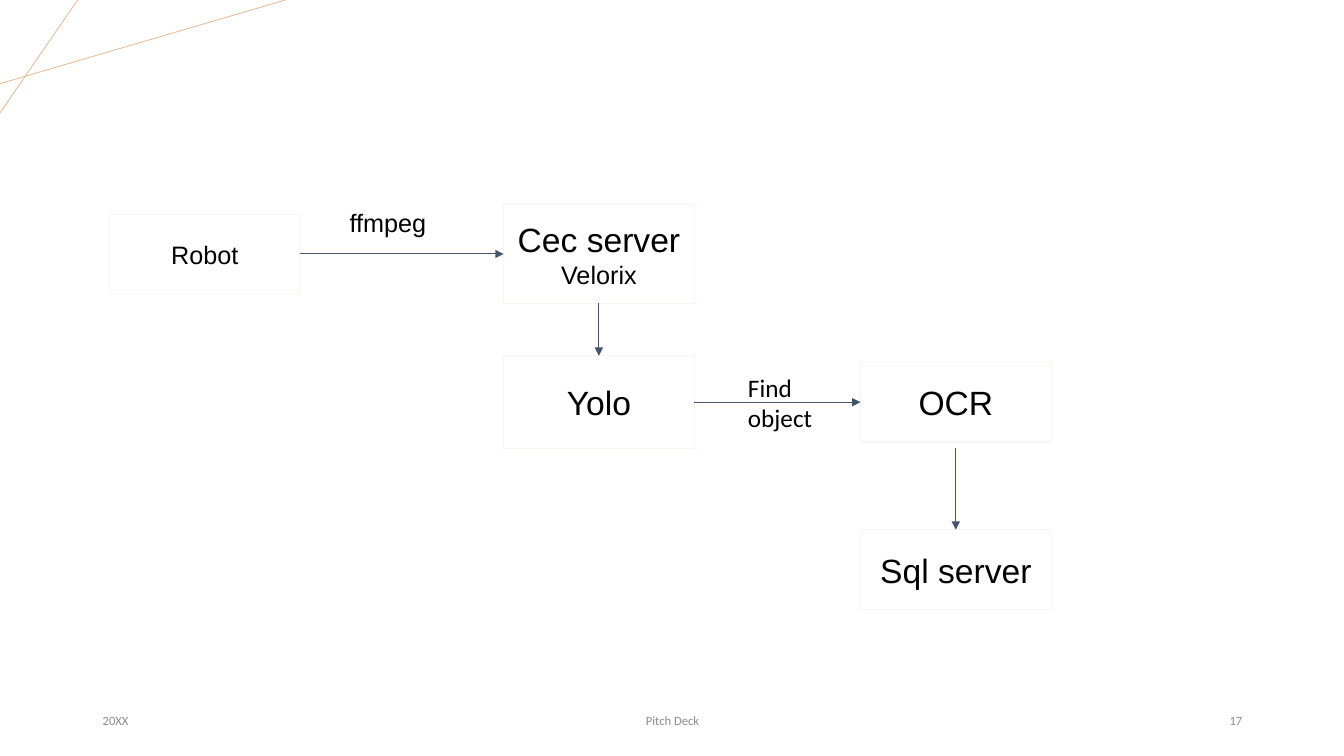
from dataclasses import dataclass

from lxml.etree import SubElement
from pptx import Presentation
from pptx.dml.color import RGBColor
from pptx.enum.shapes import MSO_CONNECTOR, MSO_SHAPE
from pptx.enum.text import MSO_ANCHOR, PP_ALIGN
from pptx.oxml.ns import qn
from pptx.shapes.autoshape import Shape
from pptx.shapes.connector import Connector
from pptx.slide import Slide
from pptx.text.text import TextFrame
from pptx.util import Inches, Pt

BLACK = RGBColor(0x00, 0x00, 0x00)
WHITE = RGBColor(0xFF, 0xFF, 0xFF)
GREY = RGBColor(0x8C, 0x8C, 0x8C)
SLATE = RGBColor(0x44, 0x54, 0x6A)
CREAM = RGBColor(0xFB, 0xF4, 0xEF)
COPPER = RGBColor(0xE2, 0xB1, 0x8D)

# Centres of the flow chart's columns and rows, in inches
COLUMNS = (2.03, 5.94, 9.48)
ROWS = (2.52, 3.99, 5.65)
BOX_WIDTH = 1.89
TOP, LEFT, BOTTOM, RIGHT = range(4)


@dataclass(frozen=True)
class Step:
    lines: tuple[tuple[str, int], ...]
    column: int
    row: int
    height: float


@dataclass(frozen=True)
class Arrow:
    start: str
    start_side: int
    end: str
    end_side: int
    gap: float = 0


@dataclass(frozen=True)
class Label:
    text: str
    box: tuple[float, float, float, float]
    font: str = "Calibri"
    size: int = 18
    color: RGBColor = BLACK
    align: PP_ALIGN = PP_ALIGN.LEFT
    anchor: MSO_ANCHOR = MSO_ANCHOR.TOP


STEPS = {
    "robot": Step((("Robot", 18),), 0, 0, 0.78),
    "server": Step((("Cec server", 24), ("Velorix", 18)), 1, 0, 0.98),
    "yolo": Step((("Yolo", 24),), 1, 1, 0.92),
    "ocr": Step((("OCR", 24),), 2, 1, 0.79),
    "sql": Step((("Sql server", 24),), 2, 2, 0.79),
}
ARROWS = (
    Arrow("robot", RIGHT, "server", LEFT),
    Arrow("server", BOTTOM, "yolo", TOP),
    Arrow("yolo", RIGHT, "ocr", LEFT),
    Arrow("ocr", BOTTOM, "sql", TOP, gap=0.06),
)
FOOTER = {"size": 9, "color": GREY, "anchor": MSO_ANCHOR.MIDDLE}
LABELS = (
    Label("ffmpeg", (3.37, 2.01, 1.23, 0.5), font="Arial"),
    Label("Find object", (7.32, 3.64, 1.11, 0.71)),
    Label("20XX", (0.92, 6.95, 3, 0.4), **FOOTER),
    Label("Pitch Deck", (4.42, 6.95, 4.5, 0.4), align=PP_ALIGN.CENTER, **FOOTER),
    Label("17", (9.42, 6.95, 3, 0.4), align=PP_ALIGN.RIGHT, **FOOTER),
)
CORNER_LINES = ((0, 0.83, 2.83, 0), (0.77, 0, 0, 1.12))


def write(tf: TextFrame, *lines: tuple[str, int], font: str = "Arial",
          color: RGBColor = BLACK, align: PP_ALIGN = PP_ALIGN.CENTER,
          anchor: MSO_ANCHOR = MSO_ANCHOR.MIDDLE, wrap: bool = False) -> None:
    """Fill a frame with one paragraph per (text, size) pair."""
    tf.word_wrap = wrap
    tf.vertical_anchor = anchor
    for i, (text, size) in enumerate(lines):
        p = tf.add_paragraph() if i else tf.paragraphs[0]
        p.alignment = align
        r = p.add_run()
        r.text = text
        r.font.name = font
        r.font.size = Pt(size)
        r.font.color.rgb = color


def add_step(slide: Slide, step: Step) -> Shape:
    sp = slide.shapes.add_shape(
        MSO_SHAPE.FLOWCHART_PROCESS,
        Inches(COLUMNS[step.column] - BOX_WIDTH / 2),
        Inches(ROWS[step.row] - step.height / 2),
        Inches(BOX_WIDTH), Inches(step.height))
    sp.shadow.inherit = False
    sp.fill.solid()
    sp.fill.fore_color.rgb = WHITE
    sp.line.color.rgb = CREAM
    sp.line.width = Pt(0.75)
    write(sp.text_frame, *step.lines)
    return sp


def add_line(slide: Slide, x1: int, y1: int, x2: int, y2: int,
             color: RGBColor, width: float) -> Connector:
    line = slide.shapes.add_connector(MSO_CONNECTOR.STRAIGHT, x1, y1, x2, y2)
    line.line.color.rgb = color
    line.line.width = Pt(width)
    SubElement(line._element.spPr, qn("a:effectLst"))
    return line


def side_middle(sp: Shape, side: int) -> tuple[int, int]:
    x = sp.left + {LEFT: 0, RIGHT: sp.width}.get(side, sp.width // 2)
    y = sp.top + {TOP: 0, BOTTOM: sp.height}.get(side, sp.height // 2)
    return x, y


def add_arrow(slide: Slide, arrow: Arrow, boxes: dict[str, Shape]) -> None:
    """Join two steps; a gap leaves the start free, below its box."""
    start, end = boxes[arrow.start], boxes[arrow.end]
    x, y = side_middle(start, arrow.start_side)
    line = add_line(slide, x, y + Inches(arrow.gap),
                    *side_middle(end, arrow.end_side), SLATE, 0.75)
    if not arrow.gap:
        line.begin_connect(start, arrow.start_side)
    line.end_connect(end, arrow.end_side)
    SubElement(line.line._get_or_add_ln(), qn("a:tailEnd"), type="triangle")


def add_label(slide: Slide, label: Label) -> None:
    sp = slide.shapes.add_textbox(*map(Inches, label.box))
    write(sp.text_frame, (label.text, label.size), font=label.font,
          color=label.color, align=label.align, anchor=label.anchor, wrap=True)


def main() -> None:
    prs = Presentation()
    prs.slide_width, prs.slide_height = Inches(13.33), Inches(7.5)
    slide = prs.slides.add_slide(prs.slide_layouts.get_by_name("Blank"))
    for ends in CORNER_LINES:
        add_line(slide, *map(Inches, ends), COPPER, 0.5)
    boxes = {name: add_step(slide, step) for name, step in STEPS.items()}
    for arrow in ARROWS:
        add_arrow(slide, arrow, boxes)
    for label in LABELS:
        add_label(slide, label)
    prs.save("out.pptx")


if __name__ == "__main__":
    main()
